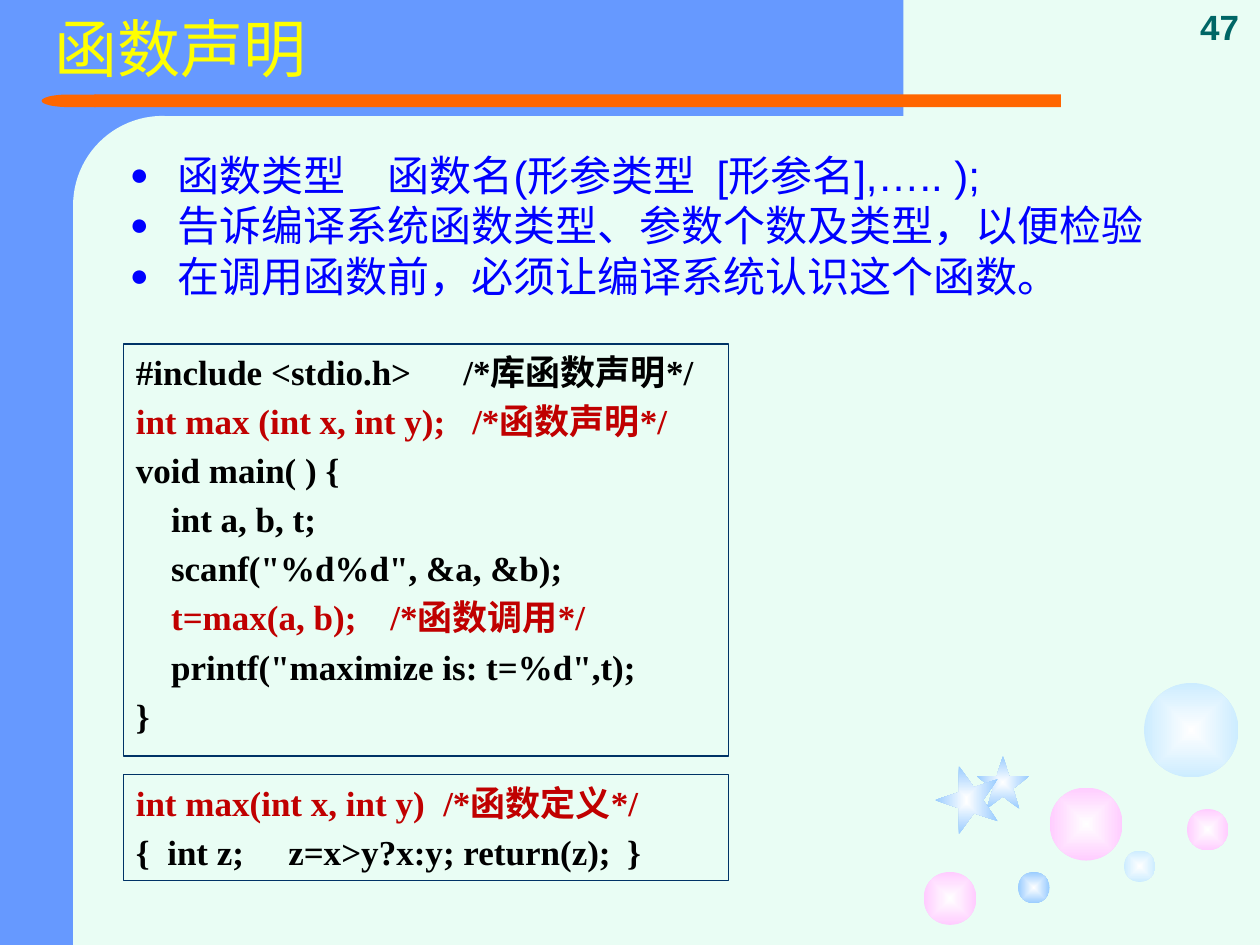
from lxml import etree
from pptx import Presentation
from pptx.dml.color import RGBColor
from pptx.enum.shapes import MSO_SHAPE as SHAPE
from pptx.enum.text import MSO_ANCHOR as ANCHOR, PP_ALIGN as ALIGN
from pptx.oxml import parse_xml
from pptx.oxml.ns import nsdecls, qn
from pptx.util import Inches, Pt

MINT = RGBColor(0xE9, 0xFD, 0xF4)
SKY = RGBColor(0x66, 0x99, 0xFF)
ORANGE = RGBColor(0xFF, 0x66, 0x00)
YELLOW = RGBColor(0xFF, 0xFF, 0x00)
BLUE = RGBColor(0x00, 0x00, 0xFF)
NAVY = RGBColor(0x00, 0x33, 0x66)
TEAL = RGBColor(0x00, 0x66, 0x66)
RED = RGBColor(0xC0, 0x00, 0x00)
BLACK = RGBColor(0x00, 0x00, 0x00)
PINK = RGBColor(0xFF, 0xCC, 0xFF)
PALE_BLUE = RGBColor(0xCC, 0xEC, 0xFF)
LIGHT_BLUE = RGBColor(0x99, 0xCC, 0xFF)

BANDS = [
    (SHAPE.RECTANGLE, (0, 0, 1.25, 7.5), SKY, 0),
    (SHAPE.RECTANGLE, (0.5, 0, 6.67, 0.92), SKY, 0),
    (SHAPE.ROUNDED_RECTANGLE, (0.58, 0.92, 1.42, 5.75), MINT, 0),
    (SHAPE.RECTANGLE, (0.75, 0.75, 7.67, 0.1), ORANGE, 0),
    (SHAPE.FLOWCHART_DELAY, (0.33, 0.75, 0.43, 0.1), ORANGE, 180),
    (SHAPE.RECTANGLE, (0.58, 5.92, 1.42, 1.58), MINT, 0),
]
BUBBLES = [
    (8.33, 6.25, 0.58, PINK),
    (7.33, 6.92, 0.42, PINK),
    (8.92, 6.75, 0.25, PALE_BLUE),
    (9.42, 6.42, 0.33, PINK),
    (9.08, 5.42, 0.75, PALE_BLUE),
    (8.08, 6.92, 0.25, LIGHT_BLUE),
]
STARS = [((7.75, 6, 0.42, 0.42), 0), ((7.4, 6.1, 0.54, 0.5), 270)]

POINTS = [
    "函数类型\u3000函数名(形参类型\u2002[形参名],….. );",
    "告诉编译系统函数类型、参数个数及类型,以便检验".replace(",", "\uff0c"),
    "在调用函数前,必须让编译系统认识这个函数。".replace(",", "\uff0c"),
]
# Each code line: text, colour, tab stops in inches
MAIN_CODE = [
    ("#include <stdio.h>\t/*库函数声明*/", BLACK, [2.6]),
    ("int max (int x, int y);\t/*函数声明*/", RED, [2.67]),
    ("void main( ) {", BLACK, []),
    ("\tint a, b, t;", BLACK, [0.28]),
    ('\tscanf("%d%d", &a, &b);', BLACK, [0.28]),
    ("\tt=max(a, b);\t/*函数调用*/", RED, [0.28, 2.02]),
    ('\tprintf("maximize is: t=%d",t);', BLACK, [0.28]),
    ("}", BLACK, []),
]
MAX_CODE = [
    ("int max(int x, int y)\t/*函数定义*/", RED, [2.44]),
    ("{\tint z;\tz=x>y?x:y; return(z);\t}", BLACK, [0.25, 1.21, 3.9]),
]


def style(paragraph, face, size, color, bold=False):
    """Set the font of a whole paragraph."""
    font = paragraph.font
    font.name, font.size, font.bold = face, Pt(size), bold
    font.color.rgb = color


def insert_before_font(paragraph, *elements):
    """Put paragraph property elements ahead of the default font."""
    props = paragraph._p.get_or_add_pPr()
    font = props.find(qn("a:defRPr"))
    for element in elements:
        font.addprevious(element)


def add_tabs(paragraph, stops):
    """Give a paragraph left tab stops."""
    if stops:
        tabs = parse_xml(f"<a:tabLst {nsdecls('a')}/>")
        for stop in stops:
            etree.SubElement(tabs, qn("a:tab"), pos=str(Inches(stop)), algn="l")
        insert_before_font(paragraph, tabs)


def add_figure(slide, kind, box, color=None, rotation=0):
    """Add a plain shape without outline or shadow."""
    figure = slide.shapes.add_shape(kind, *map(Inches, box))
    figure.shadow.inherit = False
    figure.line.fill.background()
    figure.rotation = rotation
    if color is None:
        figure.fill.background()
    else:
        figure.fill.solid()
        figure.fill.fore_color.rgb = color
    return figure


def add_glow(slide, kind, box, color, route, rotation=0):
    """Add a shape that fades from a white centre to a colour."""
    glow = add_figure(slide, kind, box, color, rotation)
    gradient = parse_xml(
        f'<a:gradFill {nsdecls("a")} rotWithShape="1"><a:gsLst>'
        '<a:gs pos="0"><a:srgbClr val="FFFFFF"/></a:gs>'
        f'<a:gs pos="100000"><a:srgbClr val="{color}"/></a:gs></a:gsLst>'
        f'<a:path path="{route}"><a:fillToRect l="50000" t="50000" '
        'r="50000" b="50000"/></a:path></a:gradFill>')
    solid = glow._element.spPr.find(qn("a:solidFill"))
    solid.getparent().replace(solid, gradient)


def place(slide, holder, box):
    """Move a placeholder to its box, in front of the decoration."""
    holder.left, holder.top, holder.width, holder.height = map(Inches, box)
    slide.shapes._spTree.append(holder._element)
    frame = holder.text_frame
    frame.word_wrap = True
    frame.vertical_anchor = ANCHOR.MIDDLE
    return frame


def add_title(slide, text):
    """Fill the title placeholder."""
    frame = place(slide, slide.shapes.title, (0.33, 0, 8.42, 0.83))
    frame.text = text
    heading = frame.paragraphs[0]
    heading.alignment = ALIGN.LEFT
    heading.line_spacing = 0.9
    style(heading, "Arial", 36, YELLOW)


def add_points(slide, points):
    """Fill the body placeholder with a bulleted list."""
    frame = place(slide, slide.placeholders[1], (0.83, 0.92, 8.5, 1.73))
    frame.margin_left = Inches(0.2)
    frame.text = "\n".join(points)
    for point in frame.paragraphs:
        point.line_spacing = Pt(29)
        point.space_before = Pt(0)
        style(point, "Arial", 24, BLUE)
        props = point._p.get_or_add_pPr()
        props.set("marL", str(Inches(0.38)))
        props.set("indent", str(Inches(-0.38)))
        insert_before_font(
            point,
            parse_xml(f'<a:buClr {nsdecls("a")}><a:srgbClr val="{BLUE}"/></a:buClr>'),
            parse_xml(f'<a:buSzPct {nsdecls("a")} val="75000"/>'),
            parse_xml(f'<a:buFont {nsdecls("a")} typeface="Arial"/>'),
            parse_xml(f'<a:buChar {nsdecls("a")} char="●"/>'))


def add_page_number(slide, number):
    """Write the page number in the top right corner."""
    box = slide.shapes.add_textbox(*map(Inches, (9.36, 0, 0.64, 0.43)))
    frame = box.text_frame
    frame.word_wrap = True
    frame.vertical_anchor = ANCHOR.BOTTOM
    frame.text = number
    frame.paragraphs[0].alignment = ALIGN.CENTER
    style(frame.paragraphs[0], "Arial", 20, TEAL, bold=True)


def add_code(slide, top, height, lines):
    """Add an outlined box of program code."""
    listing = add_figure(slide, SHAPE.RECTANGLE, (0.98, top, 4.8, height))
    listing.line.color.rgb = NAVY
    listing.line.width = Pt(0.75)
    frame = listing.text_frame
    frame.word_wrap = True
    frame.vertical_anchor = ANCHOR.TOP
    frame.margin_top = 0
    frame.text = "\n".join(text for text, _, _ in lines)
    for paragraph, (_, color, stops) in zip(frame.paragraphs, lines):
        paragraph.alignment = ALIGN.LEFT
        paragraph.line_spacing = Pt(28)
        style(paragraph, "Times New Roman", 20, color, bold=True)
        add_tabs(paragraph, stops)


def add_decoration(slide):
    """Draw the coloured bands, bubbles and stars."""
    for kind, box, color, rotation in BANDS:
        band = add_figure(slide, kind, box, color, rotation)
        if kind == SHAPE.ROUNDED_RECTANGLE:
            band.adjustments[0] = 0.5
    for left, top, size, color in BUBBLES:
        add_glow(slide, SHAPE.OVAL, (left, top, size, size), color, "shape")
    for box, rotation in STARS:
        add_glow(slide, SHAPE.STAR_5_POINT, box, LIGHT_BLUE, "rect", rotation)


def main():
    """Build the slide and save it."""
    deck = Presentation()
    deck.slide_width, deck.slide_height = Inches(10), Inches(7.5)
    slide = deck.slides.add_slide(deck.slide_layouts[1])
    slide.background.fill.solid()
    slide.background.fill.fore_color.rgb = MINT
    add_decoration(slide)
    add_title(slide, "函数声明")
    add_points(slide, POINTS)
    add_page_number(slide, "47")
    add_code(slide, 2.73, 3.27, MAIN_CODE)
    add_code(slide, 6.15, 0.84, MAX_CODE)
    deck.save("out.pptx")


main()
